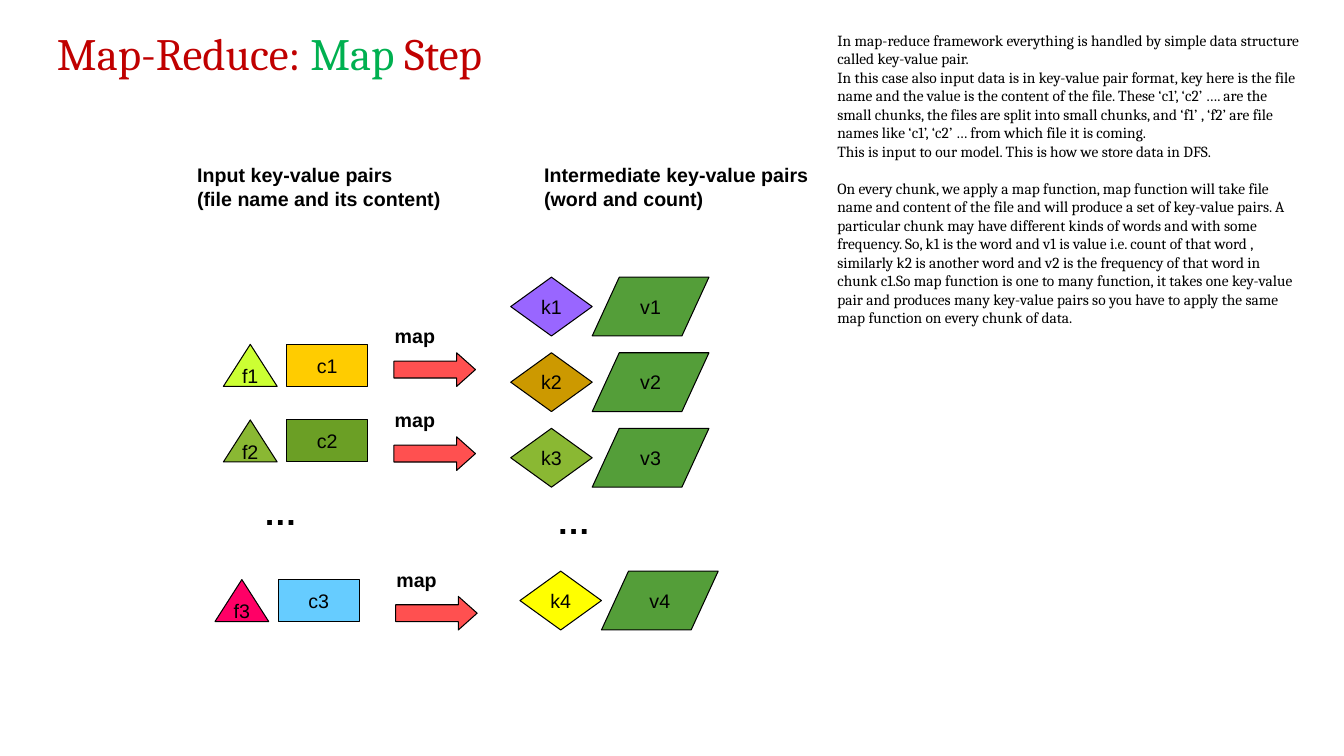
from pptx import Presentation
from pptx.dml.color import RGBColor
from pptx.enum.shapes import MSO_SHAPE
from pptx.enum.text import MSO_ANCHOR, PP_ALIGN
from pptx.util import Inches, Pt

TRIANGLE, RECT, DIAMOND = MSO_SHAPE.ISOSCELES_TRIANGLE, MSO_SHAPE.RECTANGLE, MSO_SHAPE.DIAMOND
PARALLELOGRAM, ARROW = MSO_SHAPE.PARALLELOGRAM, MSO_SHAPE.RIGHT_ARROW
MIDDLE, TOP = MSO_ANCHOR.MIDDLE, MSO_ANCHOR.TOP
CENTER = PP_ALIGN.CENTER

BLACK = RGBColor(0x00, 0x00, 0x00)
TITLE_RED = RGBColor(0xC0, 0x00, 0x00)
TITLE_GREEN = RGBColor(0x00, 0xB0, 0x50)
ARROW_RED = RGBColor(0xFF, 0x50, 0x50)
VALUE_GREEN = RGBColor(0x54, 0x9E, 0x39)
OLIVE = RGBColor(0x8A, 0xB8, 0x33)
MOSS = RGBColor(0x6B, 0x9F, 0x25)
LIME = RGBColor(0xCC, 0xFF, 0x33)
AMBER = RGBColor(0xFF, 0xCC, 0x00)
PINK = RGBColor(0xFF, 0x00, 0x66)
SKY = RGBColor(0x66, 0xCC, 0xFF)
PURPLE = RGBColor(0x99, 0x66, 0xFF)
OCHRE = RGBColor(0xCC, 0x99, 0x00)
YELLOW = RGBColor(0xFF, 0xFF, 0x00)

COLS, ROWS = 160, 90
PLAIN = {"name": "Arial", "size": Pt(14)}
BOLD = {**PLAIN, "bold": True}
DOTS = {**BOLD, "size": Pt(24)}
TITLE = {"name": "Cambria", "size": Pt(32)}
BODY = {"name": "Cambria", "size": Pt(11)}

NOTES = [
    "In map-reduce framework everything is handled by simple data structure called key-value pair.",
    "In this case also input data is in key-value pair format, key here is the file name and the value "
    "is the content of the file. These ‘c1’, ‘c2’ …. are the small chunks, the files are split into small "
    "chunks, and ‘f1’ , ‘f2’ are file names like ‘c1’, ‘c2’ … from which file it is coming.",
    "This is input to our model. This is how we store data in DFS.",
    "On every chunk, we apply a map function, map function will take file name and content of the file "
    "and will produce a set of key-value pairs. A particular chunk may have different kinds of words and "
    "with some frequency. So, k1 is the word and v1 is value i.e. count of that word , similarly k2 is "
    "another word and v2 is the frequency of that word in chunk c1.So map function is one to many "
    "function, it takes one key-value pair and produces many key-value pairs so you have to apply the "
    "same map function on every chunk of data.",
]
INPUTS = [(26.6, 41, "1", LIME, AMBER), (26.6, 50, "2", OLIVE, MOSS), (25.6, 69, "3", PINK, SKY)]
MAPS = [(45.8, 38), (45.8, 48), (46, 67)]
OUTPUTS = [(60.8, 33, "1", PURPLE), (60.8, 42, "2", OCHRE), (60.8, 51, "3", OLIVE), (61.9, 68, "4", YELLOW)]


def grid(prs, x, y, w, h):
    """Turn grid columns and rows into slide lengths."""
    cw, rh = prs.slide_width / COLS, prs.slide_height / ROWS
    return int(x * cw), int(y * rh), int(w * cw), int(h * rh)


def add_run(p, text, fmt, color=BLACK):
    """Append a formatted run to a paragraph."""
    r = p.add_run()
    r.text = text
    for name, value in fmt.items():
        setattr(r.font, name, value)
    r.font.color.rgb = color


def add_text(prs, s, box, lines, fmt, wrap=False, anchor=TOP):
    """Write one paragraph per line, each a list of text and colour pairs."""
    tf = s.shapes.add_textbox(*grid(prs, *box)).text_frame
    tf.word_wrap, tf.vertical_anchor = wrap, anchor
    for i, line in enumerate(lines):
        p = tf.paragraphs[0] if i == 0 else tf.add_paragraph()
        for text, color in line:
            add_run(p, text, fmt, color)
    return tf


def add_block(prs, s, kind, box, fill, text="", adjust=()):
    """Draw an outlined shape with a centred label."""
    sp = s.shapes.add_shape(kind, *grid(prs, *box))
    sp.shadow.inherit = False
    sp.fill.solid()
    sp.fill.fore_color.rgb = fill
    sp.line.color.rgb = BLACK
    sp.line.width = Pt(0.75)
    for i, value in enumerate(adjust):
        sp.adjustments[i] = value
    if text:
        tf = sp.text_frame
        tf.word_wrap, tf.vertical_anchor = False, MIDDLE
        p = tf.paragraphs[0]
        p.alignment = CENTER
        add_run(p, text, PLAIN)


def add_input(prs, s, x, y, number, file_color, chunk_color):
    """Draw a file triangle beside its chunk."""
    add_block(prs, s, TRIANGLE, (x, y, 6.4, 5), file_color, "f" + number)
    add_block(prs, s, RECT, (x + 7.5, y, 9.7, 5), chunk_color, "c" + number)


def add_map(prs, s, x, y):
    """Draw a map label above its arrow."""
    add_text(prs, s, (x, y, 7.3, 4), [[("map", BLACK)]], BOLD)
    add_block(prs, s, ARROW, (x + 1.1, y + 4, 9.7, 4), ARROW_RED, adjust=(0.5, 0.56))


def add_output(prs, s, x, y, number, key_color):
    """Draw a key diamond touching its value parallelogram."""
    add_block(prs, s, DIAMOND, (x, y, 9.7, 7), key_color, "k" + number)
    add_block(prs, s, PARALLELOGRAM, (x + 9.7, y, 13.9, 7), VALUE_GREEN, "v" + number, (0.46,))


def add_heading(prs, s, box, lines, wrap):
    """Write a column heading of two lines."""
    add_text(prs, s, box, [[(line, BLACK)] for line in lines], BOLD, wrap)


def add_notes(prs, s, box):
    """Write the explanation, with a gap before its last paragraph."""
    tf = add_text(prs, s, box, [[(note, BLACK)] for note in NOTES], BODY, True)
    tf.paragraphs[-1].space_before = Pt(13.2)


def add_title(prs, s, box):
    """Write the two-colour slide title."""
    parts = [("Map-Reduce: ", TITLE_RED), ("Map", TITLE_GREEN), (" Step", TITLE_RED)]
    tf = add_text(prs, s, box, [parts], TITLE, True, MIDDLE)
    tf.paragraphs[0].line_spacing = 0.9


def main():
    """Build the map step slide."""
    prs = Presentation()
    prs.slide_width, prs.slide_height = Inches(13.33), Inches(7.5)
    s = prs.slides.add_slide(prs.slide_layouts[6])
    add_title(prs, s, (5.6, 3.1, 129.6, 7.1))
    add_heading(prs, s, (22.3, 18.8, 31.5, 6.9),
                ["Input key-value pairs", "(file name and its content)"], False)
    add_heading(prs, s, (63.6, 18.8, 44.4, 6.9),
                ["Intermediate key-value pairs", "(word and count)"], True)
    for item in INPUTS:
        add_input(prs, s, *item)
    for item in MAPS:
        add_map(prs, s, *item)
    for item in OUTPUTS:
        add_output(prs, s, *item)
    for x, y in [(30.2, 58), (65.1, 59)]:
        add_text(prs, s, (x, y, 6.5, 6), [[("…", BLACK)]], DOTS)
    add_notes(prs, s, (98.5, 3.1, 57.6, 47))
    prs.save("out.pptx")


if __name__ == "__main__":
    main()
